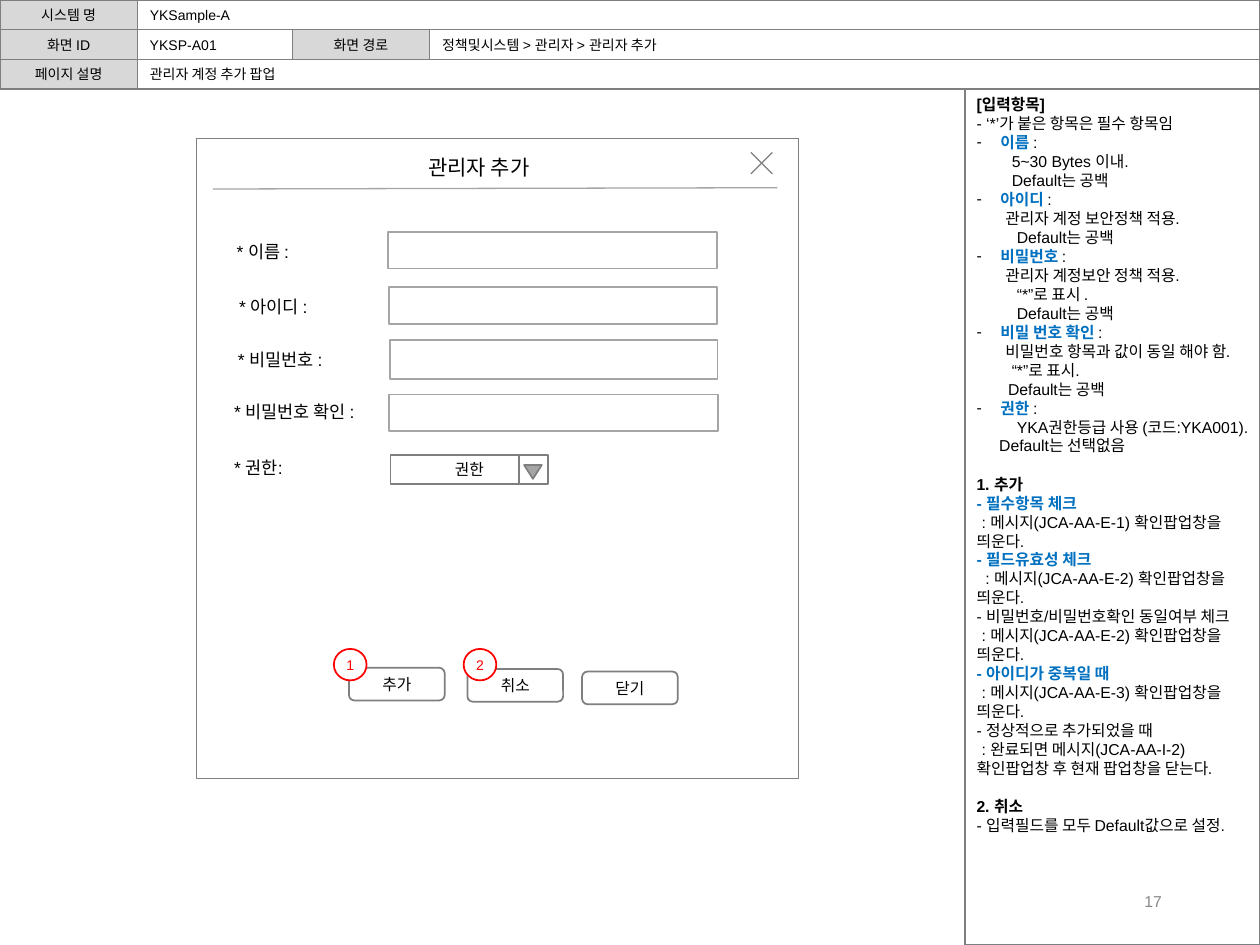
from dataclasses import dataclass

from lxml import etree
from pptx import Presentation, util as u
from pptx.dml.color import RGBColor
from pptx.enum import shapes, text
from pptx.oxml.ns import qn

COLS, ROWS = 100, 75
WIDTH, HEIGHT = u.Inches(10), u.Inches(7.5)
KIND, ALIGN, ANCHOR = shapes.MSO_SHAPE, text.PP_ALIGN, text.MSO_ANCHOR
MID = ALIGN.CENTER


@dataclass(frozen=True)
class Theme:
    font: str = "Arial"
    ink: str = "000000"
    blue: str = "0070C0"
    red: str = "FF0000"
    edge: str = "7F7F7F"
    soft: str = "A5A5A5"
    head: str = "D8D8D8"
    page: str = "FFFFFF"
    mute: str = "888888"
    small: float = 8
    base: float = 9
    label: float = 10
    title: float = 12
    thin: float = 0.75
    line: float = 1


T = Theme()

HEADER = [
    [(10.9, "시스템 명"), (89.1, "YKSample-A")],
    [(10.9, "화면 ID"), (12.3, "YKSP-A01"), (10.9, "화면 경로"),
     (65.9, "정책및시스템 > 관리자 > 관리자 추가")],
    [(10.9, "페이지 설명"), (89.1, "관리자 계정 추가 팝업")],
]

# label, label column and row, input box (None for the drop-down)
FIELDS = [
    ("* 이름 :", 17.8, 18.6, (30.8, 18.4, 26.1, 2.9)),
    ("* 아이디 :", 18, 23, (30.9, 22.8, 26, 2.9)),
    ("* 비밀번호 :", 17.9, 27.2, (30.95, 27, 26, 3.1)),
    ("* 비밀번호 확인 :", 17.6, 31.3, (30.9, 31.3, 26.1, 2.9)),
    ("* 권한:", 17.6, 35.8, None),
]

BUTTONS = [("추가", 27.7, 53), ("취소", 37.1, 53.1), ("닫기", 46.2, 53.3)]
BADGES = [("1", 26.5), ("2", 36.8)]

# style, first-line indent in inches, text
NOTES = [
    ("bold", 0, "[입력항목]"),
    ("plain", 0, "- ‘*’가 붙은 항목은 필수 항목임"),
    ("item", 0, "이름 "),
    ("plain", 0.28, "5~30 Bytes 이내."),
    ("plain", 0.28, "Default는 공백"),
    ("item", 0, "아이디 "),
    ("plain", 0.23, "관리자 계정 보안정책 적용."),
    ("plain", 0.32, "Default는 공백"),
    ("item", 0, "비밀번호 "),
    ("plain", 0.23, "관리자 계정보안 정책 적용."),
    ("plain", 0.32, "“*”로 표시 ."),
    ("plain", 0.32, "Default는 공백"),
    ("item", 0, "비밀 번호 확인 "),
    ("plain", 0.23, "비밀번호 항목과 값이 동일 해야 함."),
    ("plain", 0.28, "“*”로 표시."),
    ("plain", 0.25, "Default는 공백"),
    ("item", 0, "권한 "),
    ("plain", 0.32, "YKA권한등급 사용 (코드:YKA001)."),
    ("plain", 0.18, "Default는 선택없음"),
    ("section", 0, "1. 추가"),
    ("blue", 0, "- 필수항목 체크"),
    ("plain", 0.04, ": 메시지(JCA-AA-E-1) 확인팝업창을 띄운다."),
    ("blue", 0, "- 필드유효성 체크"),
    ("plain", 0.07, ": 메시지(JCA-AA-E-2) 확인팝업창을 띄운다."),
    ("plain", 0, "- 비밀번호/비밀번호확인 동일여부 체크"),
    ("plain", 0.04, ": 메시지(JCA-AA-E-2) 확인팝업창을 띄운다."),
    ("blue", 0, "- 아이디가 중복일 때"),
    ("plain", 0.04, ": 메시지(JCA-AA-E-3) 확인팝업창을 띄운다."),
    ("plain", 0, "- 정상적으로 추가되었을 때"),
    ("plain", 0.04, ": 완료되면 메시지(JCA-AA-I-2) 확인팝업창 후 현재 팝업창을 닫는다."),
    ("section", 0, "2. 취소"),
    ("plain", 0, "- 입력필드를 모두 Default값으로 설정."),
]


def grid(*spots):
    """Turn alternating columns and rows into slide lengths."""
    steps = (WIDTH / COLS, HEIGHT / ROWS)
    return [round(n * steps[i % 2]) for i, n in enumerate(spots)]


def move(shape, *area):
    shape.left, shape.top, shape.width, shape.height = grid(*area)


def style(run, size, color=T.ink, bold=False):
    run.font.name, run.font.size, run.font.bold = T.font, u.Pt(size), bold
    run.font.color.rgb = RGBColor.from_string(color)


def write(shape, words, size, color=T.ink, align=ALIGN.LEFT, anchor=ANCHOR.MIDDLE,
          pad=0.1, wrap=True):
    frame = shape.text_frame
    frame.text, frame.word_wrap, frame.vertical_anchor = words, wrap, anchor
    frame.auto_size = text.MSO_AUTO_SIZE.NONE
    frame.margin_left = frame.margin_right = u.Inches(pad)
    frame.margin_top = frame.margin_bottom = u.Inches(pad / 2)
    para = frame.paragraphs[0]
    para.alignment = align
    style(para.runs[0], size, color)


def stroke(shape, color, width):
    shape.line.color.rgb = RGBColor.from_string(color)
    shape.line.width = u.Pt(width)


def box(slide, area, kind=KIND.RECTANGLE, fill=None, edge=T.edge, width=T.thin):
    shape = slide.shapes.add_shape(kind, *grid(*area))
    shape.shadow.inherit = False
    if fill:
        shape.fill.solid()
        shape.fill.fore_color.rgb = RGBColor.from_string(fill)
    else:
        shape.fill.background()
    stroke(shape, edge, width)
    return shape


def rule(slide, *ends, color=T.edge):
    line = slide.shapes.add_connector(shapes.MSO_CONNECTOR.STRAIGHT, *grid(*ends))
    stroke(line, color, T.thin)
    etree.SubElement(line._element.spPr, qn("a:effectLst"))


def caption(slide, area, words, size, **look):
    write(slide.shapes.add_textbox(*grid(*area)), words, size, **look)


def indent(para, first, bullet):
    """Set the first-line indent, or a hanging dash bullet."""
    props = para._p.get_or_add_pPr()
    hang = u.Inches(0.19)
    props.set("marL", str(hang if bullet else 0))
    props.set("indent", str(-hang if bullet else u.Inches(first)))
    if bullet:
        tint = etree.SubElement(props, qn("a:buClr"))
        etree.SubElement(tint, qn("a:srgbClr"), val=T.ink)
        etree.SubElement(props, qn("a:buFont"), typeface=T.font)
        etree.SubElement(props, qn("a:buChar"), char="-")
    else:
        etree.SubElement(props, qn("a:buNone"))


def notes(body):
    move(body, 76.6, 7.1, 23.4, 67.9)
    stroke(body, T.edge, T.thin)
    frame = body.text_frame
    write(body, NOTES[0][2], T.base, anchor=ANCHOR.TOP, pad=0.09)
    for i, (look, first, words) in enumerate(NOTES):
        para = frame.add_paragraph() if i else frame.paragraphs[0]
        para.text = words
        para.alignment = ALIGN.LEFT
        para.space_before = u.Pt(11 if look == "section" else 0)
        indent(para, first, look == "item")
        color = T.blue if look in ("item", "blue") else T.ink
        style(para.runs[0], T.base, color, look != "plain")
        if look == "item":
            colon = para.add_run()
            colon.text = ":"
            style(colon, T.base)


def header(slide):
    for row, cells in enumerate(HEADER):
        left = 0
        for i, (width, words) in enumerate(cells):
            name = i % 2 == 0
            cell = box(slide, (left, row * 2.36, width, 2.36),
                       fill=T.head if name else T.page)
            write(cell, words, T.small, align=MID if name else ALIGN.LEFT)
            left += width


def picker(slide):
    write(box(slide, (31, 36.1, 12.5, 2.3), width=T.line), "권한", T.base, align=MID)
    box(slide, (41.6, 36.9, 1.4, 1.1), KIND.FLOWCHART_MERGE, T.soft, width=T.line)
    rule(slide, 41.2, 36.1, 41.2, 38.4)


def popup(slide):
    box(slide, (15.6, 11, 47.8, 50.8))
    rule(slide, 16.9, 15, 61.7, 14.9, color=T.soft)
    for start, end in ((12.1, 13.8), (13.8, 12.1)):
        rule(slide, 59.6, start, 61.3, end)
    for words, left, top, area in FIELDS:
        caption(slide, (left, top, 13.3, 2.7), words, T.label,
                anchor=ANCHOR.TOP, wrap=False)
        if area:
            box(slide, area, edge=T.soft, width=T.line)
    picker(slide)
    for words, left, top in BUTTONS:
        button = box(slide, (left, top, 7.6, 2.6), KIND.ROUNDED_RECTANGLE, width=T.line)
        write(button, words, T.base, align=MID)
    for mark, left in BADGES:
        badge = box(slide, (left, 51.5, 2.6, 2.5), KIND.OVAL, T.page, T.red, T.line)
        write(badge, mark, T.small, T.red, MID, pad=0)


def main():
    deck = Presentation()
    deck.slide_width, deck.slide_height = WIDTH, HEIGHT
    slide = deck.slides.add_slide(deck.slide_layouts[1])
    title, body = slide.placeholders
    move(title, 33, 11.8, 14, 3)
    write(title, "관리자 추가", T.title, anchor=ANCHOR.TOP)
    notes(body)
    header(slide)
    popup(slide)
    caption(slide, (70.7, 69.5, 22.5, 4), "17", T.base, color=T.mute, align=ALIGN.RIGHT)
    deck.save("out.pptx")


if __name__ == "__main__":
    main()
